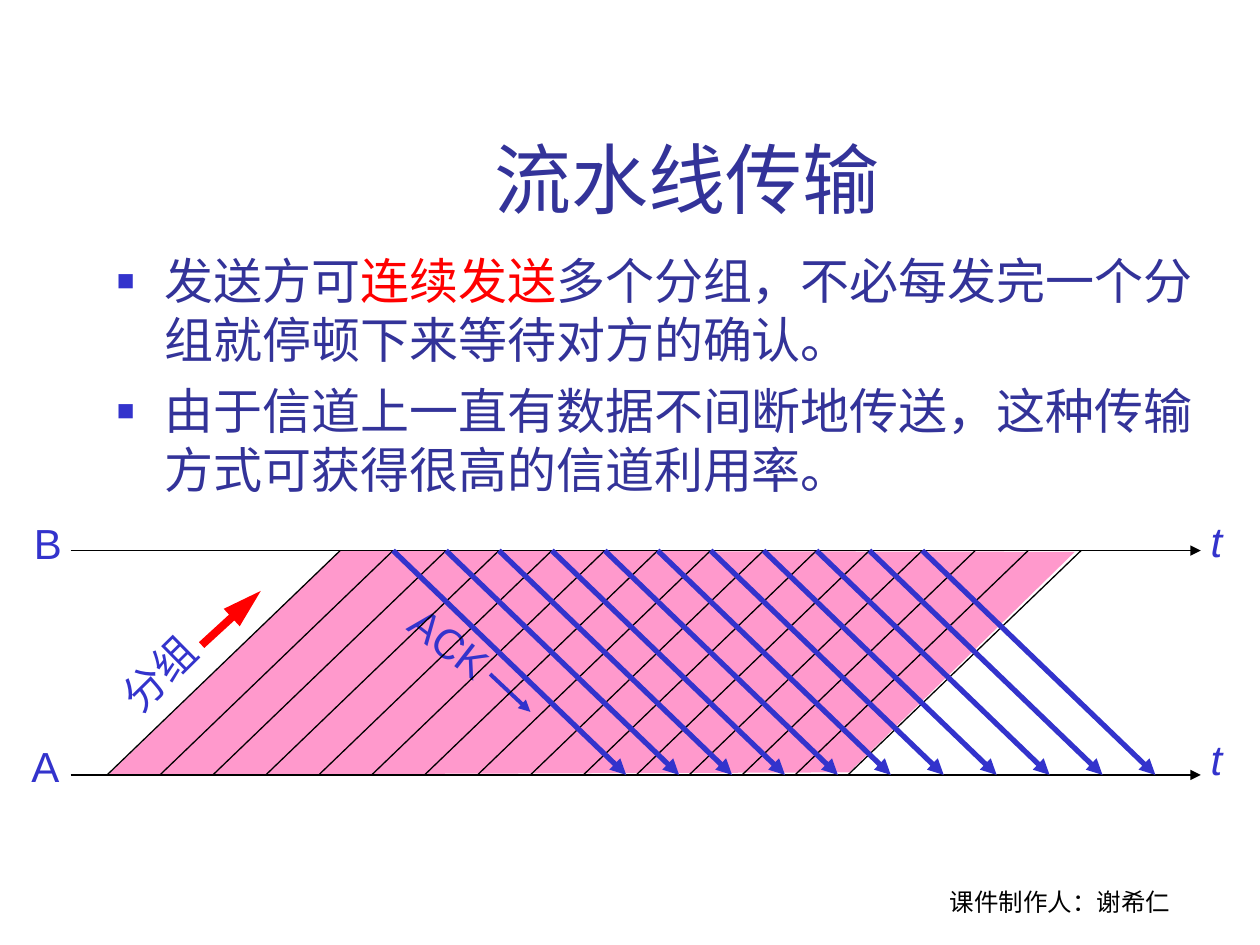
from dataclasses import dataclass

from lxml.etree import SubElement
from pptx import Presentation
from pptx.dml.color import RGBColor
from pptx.enum.shapes import MSO_CONNECTOR
from pptx.enum.text import MSO_ANCHOR as Anchor, MSO_AUTO_SIZE as AutoSize, PP_ALIGN as Align
from pptx.oxml.ns import qn
from pptx.util import Inches, Pt

NAVY = RGBColor(0x33, 0x33, 0x99)
BLUE = RGBColor(0x33, 0x33, 0xCC)
RED = RGBColor(0xFF, 0x00, 0x00)
PINK = RGBColor(0xFF, 0x99, 0xCC)
BLACK = RGBColor(0x00, 0x00, 0x00)

# Time diagram, in inches: A sends upwards to B, one packet per step.
B_Y, A_Y = 4.37, 6.15
AXIS_LEFT, AXIS_RIGHT = 0.56, 9.53
FIRST_SEND = 0.85
STEP = 0.42
DELAY = 1.85
PACKETS = 14
ACKS = 11


@dataclass(frozen=True)
class Label:
    text: str
    left: float
    top: float
    width: float
    italic: bool = False
    rotation: float = 0


@dataclass(frozen=True)
class Line:
    start: tuple[float, float]
    end: tuple[float, float]
    color: RGBColor = BLACK
    weight: float = 0.75
    arrow_length: str = ""


LABELS = [
    Label("B", 0.17, 4.06, 0.42),
    Label("A", 0.15, 5.83, 0.42),
    Label("t", 9.51, 4.04, 0.29, italic=True),
    Label("t", 9.51, 5.77, 0.29, italic=True),
    Label("分组", 0.83, 5.09, 0.86, rotation=315.3),
    Label("ACK", 3.13, 4.85, 0.88, rotation=37.8),
]

POINTS = [
    [("发送方可", NAVY), ("连续发送", RED),
     ("多个分组，不必每发完一个分组就停顿下来等待对方的确认。", NAVY)],
    [("由于信道上一直有数据不间断地传送，这种传输方式可获得很高的信道利用率。", NAVY)],
]


def add_frame(slide, left: float, top: float, width: float, height: float,
              anchor: Anchor = Anchor.TOP):
    box = slide.shapes.add_textbox(*map(Inches, (left, top, width, height)))
    box.text_frame.word_wrap = True
    box.text_frame.vertical_anchor = anchor
    return box


def style(run, size: float, color: RGBColor, font: str = "Arial") -> None:
    run.font.size = Pt(size)
    run.font.name = font
    run.font.color.rgb = color


def add_centred(slide, text: str, bounds: tuple, size: float, color: RGBColor,
                font: str = "Arial") -> None:
    """Write one centred line that sits at the bottom of its box."""
    frame = add_frame(slide, *bounds, anchor=Anchor.BOTTOM).text_frame
    frame.text = text
    frame.paragraphs[0].alignment = Align.CENTER
    style(frame.paragraphs[0].runs[0], size, color, font)


def add_bullet(paragraph) -> None:
    props = paragraph._p.get_or_add_pPr()
    props.set("marL", str(Inches(0.38)))
    props.set("indent", str(-Inches(0.38)))
    SubElement(SubElement(props, qn("a:buClr")), qn("a:srgbClr")).set("val", str(BLUE))
    SubElement(props, qn("a:buSzPct")).set("val", "60000")
    SubElement(props, qn("a:buFont")).set("typeface", "Arial")
    SubElement(props, qn("a:buChar")).set("char", "■")


def add_points(slide) -> None:
    frame = add_frame(slide, 0.83, 1.94, 8.81, 2.28).text_frame
    for index, parts in enumerate(POINTS):
        paragraph = frame.add_paragraph() if index else frame.paragraphs[0]
        add_bullet(paragraph)
        if index:
            paragraph.space_before = Pt(7)
        for text, color in parts:
            run = paragraph.add_run()
            run.text = text
            style(run, 28, color)


def add_label(slide, label: Label) -> None:
    """Write a short label on one line, with no side margins that could break it."""
    box = add_frame(slide, label.left, label.top, label.width, 0.5)
    box.rotation = label.rotation
    frame = box.text_frame
    frame.auto_size = AutoSize.NONE
    frame.margin_left = frame.margin_right = 0
    frame.text = label.text
    frame.paragraphs[0].alignment = Align.CENTER
    run = frame.paragraphs[0].runs[0]
    style(run, 24, BLUE)
    if label.italic:
        run.font.italic = True


def add_line(slide, line: Line) -> None:
    connector = slide.shapes.add_connector(
        MSO_CONNECTOR.STRAIGHT, *map(Inches, line.start + line.end))
    connector.line.color.rgb = line.color
    connector.line.width = Pt(line.weight)
    if line.arrow_length:
        arrowhead = SubElement(connector.line._get_or_add_ln(), qn("a:tailEnd"))
        arrowhead.set("type", "triangle")
        arrowhead.set("len", line.arrow_length)
    SubElement(connector._element.spPr, qn("a:effectLst"))


def add_packet_band(slide) -> None:
    corners = [(0.86, A_Y), (2.7, B_Y), (8.53, 4.38), (6.74, 6.13)]
    builder = slide.shapes.build_freeform(*map(Inches, corners[0]), scale=1.0)
    builder.add_line_segments([tuple(map(Inches, corner)) for corner in corners[1:]])
    band = builder.convert_to_shape()
    band.shadow.inherit = False
    band.fill.solid()
    band.fill.fore_color.rgb = PINK
    band.line.fill.background()


def diagram_lines() -> list[Line]:
    axes = [Line((AXIS_LEFT, y), (AXIS_RIGHT, y), arrow_length="med") for y in (A_Y, B_Y)]
    sends = [FIRST_SEND + STEP * i for i in range(PACKETS + 1)]
    edges = [Line((x, A_Y), (x + DELAY, B_Y)) for x in sends]
    arrivals = [sends[i + 1] + DELAY for i in range(ACKS)]
    acks = [Line((x, B_Y), (x + DELAY, A_Y), BLUE, 3, "med") for x in arrivals]
    directions = [
        Line((1.6, 5.12), (2.07, 4.69), RED, 4.5, "lg"),
        Line((3.89, 5.35), (4.21, 5.65), BLUE, 2.25, "med"),
    ]
    return axes + directions + edges + acks


def main() -> None:
    prs = Presentation()
    prs.slide_width, prs.slide_height = Inches(10), Inches(7.5)
    slide = prs.slides.add_slide(prs.slide_layouts[6])
    add_centred(slide, "课件制作人：谢希仁", (6.83, 6.82, 3.17, 0.5), 14, BLACK, "Karla")
    add_centred(slide, "流水线传输 ", (1.26, 0.23, 8.52, 1.6), 44, NAVY)
    add_points(slide)
    add_packet_band(slide)
    for label in LABELS:
        add_label(slide, label)
    for line in diagram_lines():
        add_line(slide, line)
    prs.save("out.pptx")


if __name__ == "__main__":
    main()
